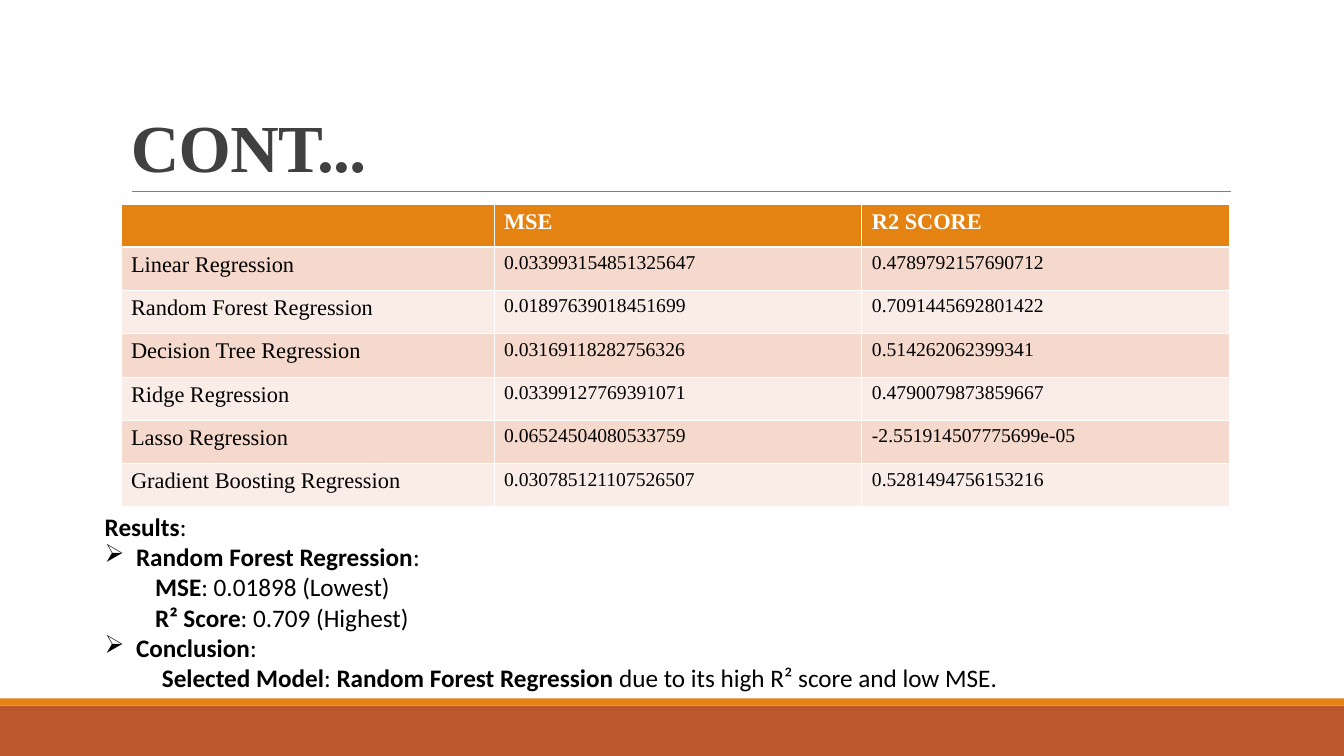
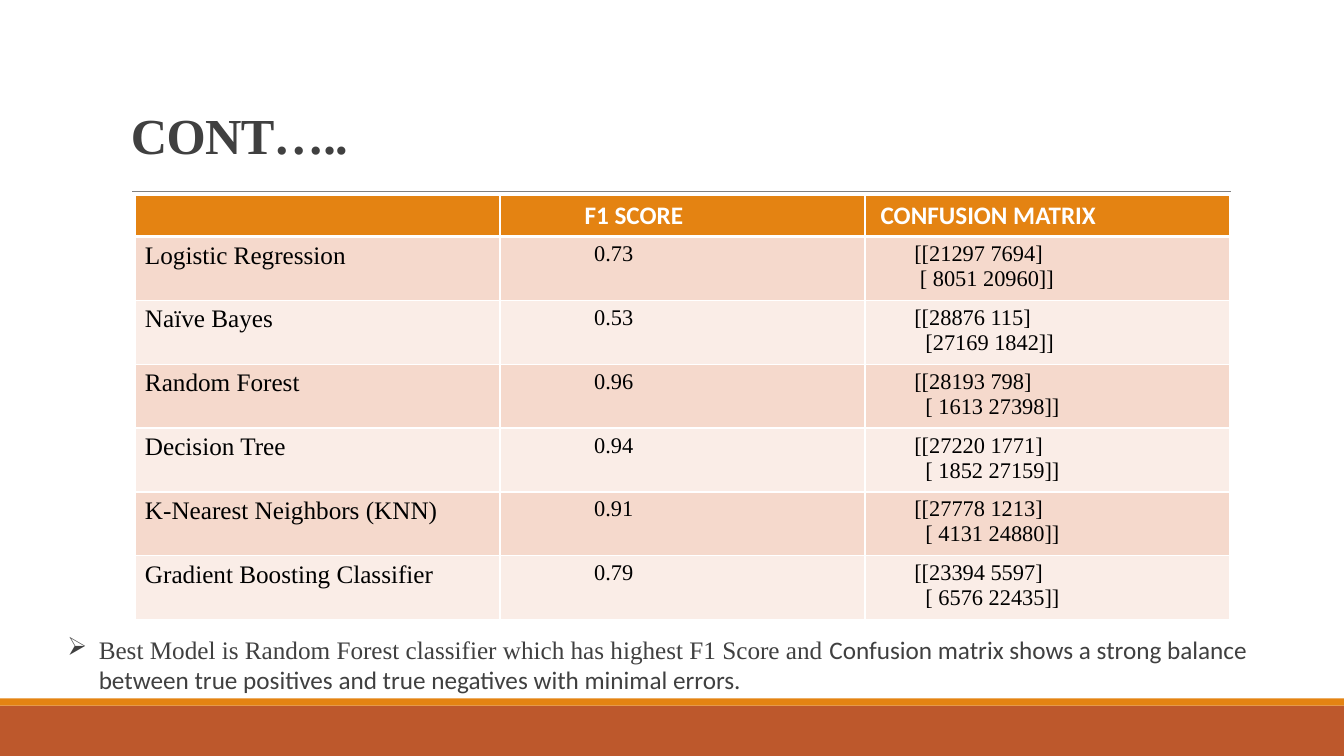
from lxml import etree
from pptx import Presentation
from pptx.dml.color import RGBColor
from pptx.enum.shapes import MSO_CONNECTOR, MSO_SHAPE
from pptx.enum.text import MSO_ANCHOR
from pptx.oxml.ns import qn
from pptx.util import Cm, Pt

RECT = MSO_SHAPE.RECTANGLE
STRAIGHT = MSO_CONNECTOR.STRAIGHT
BOTTOM = MSO_ANCHOR.BOTTOM

SERIF, SANS = "Times New Roman", "Calibri"
COLORS = {
    "footer": "BD582C", "accent": "E48312", "rule": "808080",
    "title": "404040", "text": "000000", "white": "FFFFFF",
    "band_dark": "F5D9CC", "band_light": "FAEDE7",
}


def rgb(name):
    return RGBColor.from_string(COLORS[name])


def fmt(name, size, color="text", bold=False):
    return {"name": name, "size": Pt(size), "bold": bold, "color": color}


class Deck:
    WIDTH, HEIGHT = 33.87, 19.05
    BULLET = "➢"
    BULLET_INDENT = 0.79

    def __init__(self):
        self.prs = Presentation()
        self.prs.slide_width, self.prs.slide_height = Cm(self.WIDTH), Cm(self.HEIGHT)
        self.slide = None

    def new_slide(self, title, size, bottom):
        """Add a slide with the shared footer bands, rule and title."""
        self.slide = self.prs.slides.add_slide(self.prs.slide_layouts[6])
        self.band(17.78, 1.27, "footer")
        self.band(17.6, 0.18, "accent")
        self.rule(3.33, 31.01, 4.83)
        tf = self.textbox(3.05, 0.79, 27.94, bottom - 0.79)
        tf.vertical_anchor = BOTTOM
        p = tf.paragraphs[0]
        p.line_spacing = 0.85
        r = self.run(p, title, fmt(SERIF, size, "title", True))
        r.font._element.set("spc", "-50")

    def band(self, top, height, color):
        sp = self.slide.shapes.add_shape(RECT, 0, Cm(top), Cm(self.WIDTH), Cm(height))
        sp.shadow.inherit = False
        sp.fill.solid()
        sp.fill.fore_color.rgb = rgb(color)
        sp.line.fill.background()

    def rule(self, left, right, y):
        line = self.slide.shapes.add_connector(STRAIGHT, Cm(left), Cm(y), Cm(right), Cm(y))
        line.line.color.rgb = rgb("rule")
        line.line.width = Pt(0.5)
        etree.SubElement(line._element.spPr, qn("a:effectLst"))

    def textbox(self, left, top, width, height):
        sp = self.slide.shapes.add_textbox(Cm(left), Cm(top), Cm(width), Cm(height))
        sp.text_frame.word_wrap = True
        return sp.text_frame

    def run(self, p, text, style):
        r = p.add_run()
        r.text = text
        for key, value in style.items():
            if key == "color":
                r.font.color.rgb = rgb(value)
            else:
                setattr(r.font, key, value)
        return r

    def indent(self, p, left, first=0):
        pPr = p._p.get_or_add_pPr()
        pPr.set("marL", str(Cm(left)))
        pPr.set("indent", str(Cm(first)))
        return pPr

    def body_text(self, left, top, width, height, paragraphs):
        """Each paragraph is (indent, runs); an indent of None makes a bullet."""
        tf = self.textbox(left, top, width, height)
        for i, (indent, runs) in enumerate(paragraphs):
            p = tf.add_paragraph() if i else tf.paragraphs[0]
            if indent is None:
                pPr = self.indent(p, self.BULLET_INDENT, -self.BULLET_INDENT)
                etree.SubElement(pPr, qn("a:buChar"), char=self.BULLET)
            else:
                self.indent(p, indent)
            for text, style in runs:
                self.run(p, text, style)

    def cell(self, cell, lines, style, fill, border, bottom):
        """Each line is (text, indent)."""
        tcPr = cell._tc.get_or_add_tcPr()
        for side, width in zip("LRTB", (border, border, border, bottom)):
            ln = etree.SubElement(tcPr, qn("a:ln" + side), w=str(Pt(width)))
            solid = etree.SubElement(ln, qn("a:solidFill"))
            etree.SubElement(solid, qn("a:srgbClr"), val=COLORS["white"])
        cell.fill.solid()
        cell.fill.fore_color.rgb = rgb(fill)
        tf = cell.text_frame
        for i, (text, indent) in enumerate(lines):
            p = tf.add_paragraph() if i else tf.paragraphs[0]
            self.indent(p, indent)
            if text:
                self.run(p, text, style)

    def table(self, left, top, widths, heights, rows, head, body, border, head_border):
        """The first row is the header; body holds one text style per column."""
        tbl = self.slide.shapes.add_table(
            len(rows), len(widths), Cm(left), Cm(top),
            Cm(sum(widths)), Cm(heights[0] + heights[1] * (len(rows) - 1))).table
        tbl.horz_banding = False
        for col, width in zip(tbl.columns, widths):
            col.width = Cm(width)
        for i, row in enumerate(rows):
            tbl.rows[i].height = Cm(heights[min(i, 1)])
            fill = ("band_light", "band_dark")[i % 2] if i else "accent"
            for j, lines in enumerate(row):
                self.cell(tbl.cell(i, j), lines, body[j] if i else head, fill,
                          border, border if i else head_border)


def main():
    deck = Deck()

    # Regression results
    deck.new_slide("CONT...", 48, 4.83)
    scores = [
        ("", "MSE", "R2 SCORE"),
        ("Linear Regression", "0.033993154851325647", "0.4789792157690712"),
        ("Random Forest Regression", "0.01897639018451699", "0.7091445692801422"),
        ("Decision Tree Regression", "0.03169118282756326", "0.514262062399341"),
        ("Ridge Regression", "0.03399127769391071", "0.4790079873859667"),
        ("Lasso Regression", "0.06524504080533759", "-2.551914507775699e-05"),
        ("Gradient Boosting Regression", "0.030785121107526507", "0.5281494756153216"),
    ]
    number = fmt(SERIF, 14)
    deck.table(3.05, 5.14, (9.4, 9.27, 9.27), (1.09, 1.09),
               [[[(text, 0)] for text in row] for row in scores],
               fmt(SERIF, 16, "white", True), (fmt(SERIF, 16), number, number), 0.75, 1.7)
    bold, plain = fmt(SANS, 18, bold=True), fmt(SANS, 18)
    deck.body_text(2.39, 12.76, 29, 4.9, [
        (0, [("Results", bold), (":", plain)]),
        (None, [("Random Forest Regression", bold), (":", plain)]),
        (1.27, [("MSE", bold), (": 0.01898 (Lowest)", plain)]),
        (1.27, [("R² Score", bold), (": 0.709 (Highest)", plain)]),
        (None, [("Conclusion", bold), (":", plain)]),
        (1.44, [("Selected Model", bold), (": ", plain), ("Random Forest Regression", bold),
                (" due to its high R² score and low MSE.", plain)]),
    ])

    # Classification results
    deck.new_slide("CONT…..", 36, 4.27)
    models = [
        ("Logistic Regression", "0.73", "[[21297 7694]", "[ 8051 20960]]", 1.13),
        ("Naïve Bayes", "0.53", "[[28876 115]", "[27169 1842]]", 1.27),
        ("Random Forest", "0.96", "[[28193 798]", "[ 1613 27398]]", 1.27),
        ("Decision Tree", "0.94", "[[27220 1771]", "[ 1852 27159]]", 1.27),
        ("K-Nearest Neighbors (KNN)", "0.91", "[[27778 1213]", "[ 4131 24880]]", 1.27),
        ("Gradient Boosting Classifier", "0.79", "[[23394 5597]", "[ 6576 22435]]", 1.27),
    ]
    rows = [[[("", 0)], [("F1 SCORE", 1.88)], [("CONFUSION MATRIX", 0.14)]]]
    rows += [[[(name, 0)], [(f1, 2.12)], [(upper, 0.99), (lower, indent)]]
             for name, f1, upper, lower, indent in models]
    value = fmt(SERIF, 16)
    deck.table(3.4, 4.93, (9.2, 9.2, 9.2), (1.03, 1.51), rows,
               fmt(SANS, 18, "white", True), (fmt(SERIF, 18), value, value), 1, 3)
    deck.body_text(1.45, 15.86, 32.42, 1.8, [
        (None, [("Best Model is Random Forest classifier which has highest F1 Score and ",
                 fmt(SERIF, 18, "title")),
                ("Confusion matrix shows a strong balance between true positives and "
                 "true negatives with minimal errors.", fmt(SANS, 18, "title"))]),
    ])

    deck.prs.save("out.pptx")


if __name__ == "__main__":
    main()
